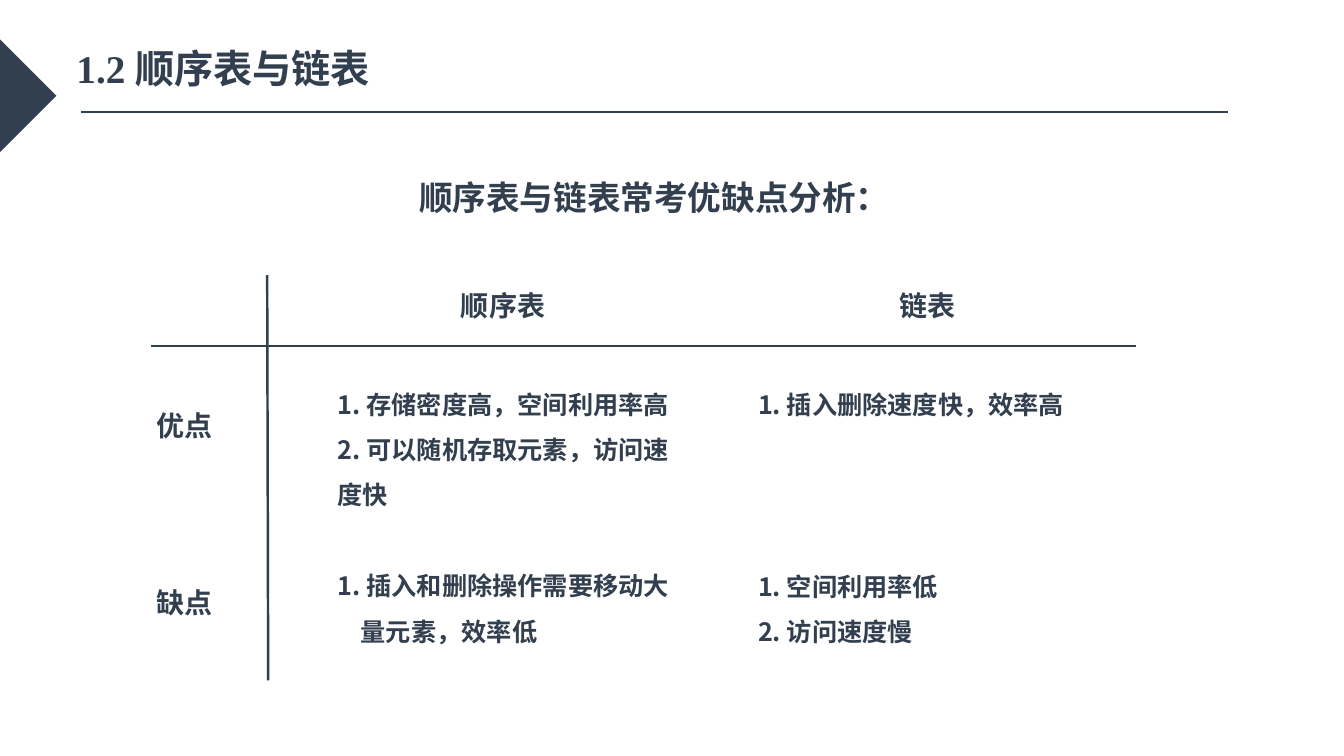
from dataclasses import dataclass

from lxml.etree import SubElement
from pptx import Presentation
from pptx.dml.color import RGBColor
from pptx.enum.text import MSO_AUTO_SIZE, PP_ALIGN
from pptx.oxml.ns import qn
from pptx.util import Inches, Pt

NAVY = "323F4F"
SANS = "Noto Sans CJK SC"
SERIF = "Times New Roman"
LINE_PITCH = 32.5  # points taken by one 18 pt line at 1.5 spacing


@dataclass
class Para:
    text: str
    lines_before: int = 0
    indent: float = 0


@dataclass
class TextBox:
    left: float
    top: float
    width: float
    height: float
    paras: list[Para]
    size: int
    align: PP_ALIGN = PP_ALIGN.CENTER
    spacing: float = 1.5
    font: str = SANS


@dataclass
class Rule:
    x1: float
    y1: float
    x2: float
    y2: float


def color(value: str) -> RGBColor:
    return RGBColor.from_string(value)


def add_text(s, box: TextBox) -> None:
    sp = s.shapes.add_textbox(Inches(box.left), Inches(box.top),
                              Inches(box.width), Inches(box.height))
    tf = sp.text_frame
    tf.word_wrap = True
    tf.auto_size = MSO_AUTO_SIZE.NONE
    for i, para in enumerate(box.paras):
        p = tf.add_paragraph() if i else tf.paragraphs[0]
        p.alignment = box.align
        p.line_spacing = box.spacing
        if para.lines_before:
            p.space_before = Pt(para.lines_before * LINE_PITCH)
        if para.indent:
            p._p.get_or_add_pPr().set("marL", str(Inches(para.indent)))
        r = p.add_run()
        r.text = para.text
        r.font.size = Pt(box.size)
        r.font.bold = True
        r.font.color.rgb = color(NAVY)
        r.font.name = box.font
        SubElement(r._r.get_or_add_rPr(), qn("a:ea")).set("typeface", SANS)


def add_rule(s, rule: Rule) -> None:
    line = s.shapes.add_connector(1, Inches(rule.x1), Inches(rule.y1),
                                  Inches(rule.x2), Inches(rule.y2))
    line.line.color.rgb = color(NAVY)
    line.line.width = Pt(1.75)
    SubElement(line._element.spPr, qn("a:effectLst"))


def add_marker(s) -> None:
    fb = s.shapes.build_freeform(0, Inches(0.39))
    fb.add_line_segments([(Inches(0.56), Inches(0.95)), (0, Inches(1.51))])
    sp = fb.convert_to_shape()
    sp.shadow.inherit = False
    sp.fill.solid()
    sp.fill.fore_color.rgb = color(NAVY)
    sp.line.fill.background()


def label(left: float, top: float, text: str) -> TextBox:
    return TextBox(left, top, 1.16, 0.62, [Para(text)], 20)


TEXTS = [
    # Title and heading
    TextBox(0.66, 0.39, 3.75, 0.57, [Para("1.2 顺序表与链表")], 28,
            PP_ALIGN.LEFT, 1.0, SERIF),
    TextBox(3.96, 1.51, 5.06, 0.75, [Para("顺序表与链表常考优缺点分析：")], 24),
    # Column and row labels
    label(4.41, 2.65, "顺序表"),
    label(8.62, 2.65, "链表"),
    label(1.25, 3.84, "优点"),
    label(1.25, 5.59, "缺点"),
    # Sequential list column
    TextBox(3.25, 3.66, 3.71, 3.14, [
        Para("1. 存储密度高，空间利用率高"),
        Para("2. 可以随机存取元素，访问速度快"),
        Para("1. 插入和删除操作需要移动大", lines_before=1),
        Para("量元素，效率低", indent=0.23),
    ], 18, PP_ALIGN.LEFT),
    # Linked list column
    TextBox(7.42, 3.66, 3.7, 2.85, [
        Para("1. 插入删除速度快，效率高"),
        Para("1. 空间利用率低", lines_before=3),
        Para("2. 访问速度慢"),
    ], 18, PP_ALIGN.LEFT),
]

RULES = [
    Rule(0.8, 1.11, 12.18, 1.11),  # under the title
    Rule(1.5, 3.43, 11.27, 3.43),  # under the column labels
    Rule(2.65, 2.73, 2.66, 6.75),  # beside the row labels
]


def main() -> None:
    prs = Presentation()
    prs.slide_width, prs.slide_height = Inches(13.33), Inches(7.5)
    s = prs.slides.add_slide(prs.slide_layouts[6])
    add_marker(s)
    for box in TEXTS:
        add_text(s, box)
    for rule in RULES:
        add_rule(s, rule)
    prs.save("out.pptx")


if __name__ == "__main__":
    main()
